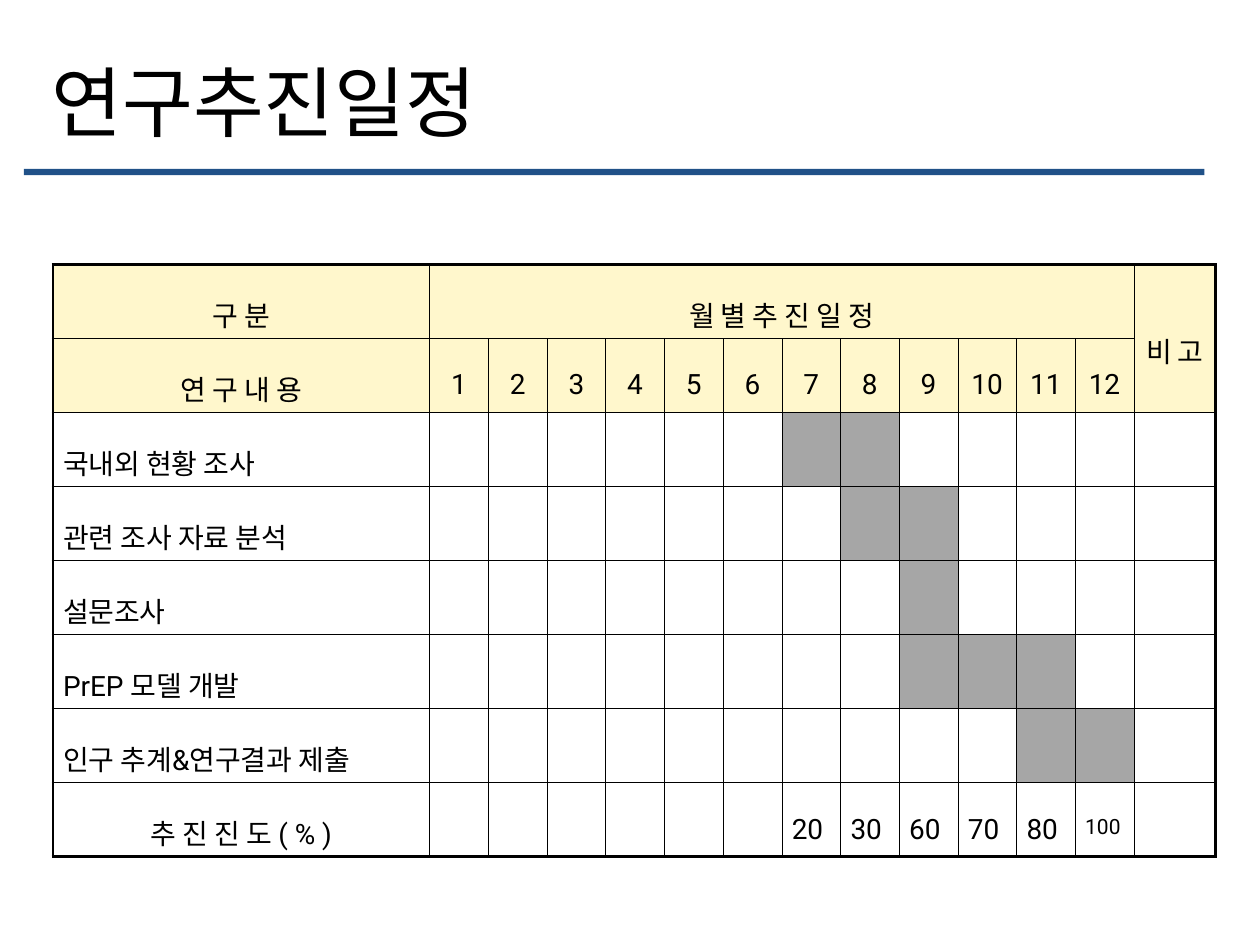
from lxml.etree import SubElement
from pptx import Presentation
from pptx.dml.color import RGBColor
from pptx.enum.shapes import MSO_SHAPE
from pptx.enum.text import MSO_ANCHOR, PP_ALIGN
from pptx.oxml import parse_xml
from pptx.oxml.ns import nsdecls, qn
from pptx.util import Inches, Pt

BLACK = RGBColor(0x00, 0x00, 0x00)
BLUE = RGBColor(0x20, 0x51, 0x88)
CREAM = RGBColor(0xFF, 0xF7, 0xCC)
GRAY = RGBColor(0xA6, 0xA6, 0xA6)
KOREAN_FONT = "Noto Sans CJK KR"
LATIN_FONT = "Roboto"
THIN, THICK = 0.28, 1.7
MONTHS = range(1, 13)
REMARK = 13
LAST_ROW = 7


def add_run(paragraph, text, size, font_name):
    run = paragraph.add_run()
    run.text = text
    for attribute, value in {"name": font_name, "size": Pt(size)}.items():
        setattr(run.font, attribute, value)
    run.font.color.rgb = BLACK
    SubElement(run.font._element, qn("a:ea")).set("typeface", KOREAN_FONT)


def draw_borders(cell, widths):
    properties = cell._tc.get_or_add_tcPr()
    for position, (side, width) in enumerate(widths.items()):
        properties.insert(position, parse_xml(
            f'<a:ln{side} {nsdecls("a")} w="{int(Pt(width))}"><a:solidFill>'
            f'<a:srgbClr val="{BLACK}"/></a:solidFill></a:ln{side}>'))


presentation = Presentation()
presentation.slide_width = Inches(10)
presentation.slide_height = Inches(7.5)
slide = presentation.slides.add_slide(presentation.slide_layouts[6])

divider = slide.shapes.add_shape(
    MSO_SHAPE.RECTANGLE, Inches(0.19), Inches(1.34), Inches(9.37), Inches(0.05))
divider.shadow.inherit = False
divider.fill.solid()
divider.fill.fore_color.rgb = BLUE
divider.line.fill.background()

title = slide.shapes.add_textbox(
    Inches(0.31), Inches(0.12), Inches(8.62), Inches(1.45)).text_frame
for attribute, value in {"word_wrap": True, "vertical_anchor": MSO_ANCHOR.MIDDLE}.items():
    setattr(title, attribute, value)
title.paragraphs[0].line_spacing = 0.9
add_run(title.paragraphs[0], "연구추진일정", 44, "Calibri")

schedule_frame = slide.shapes.add_table(
    8, 14, Inches(0.42), Inches(2.1), Inches(9.23), Inches(4.7))
schedule = schedule_frame.table
for flag in ("first_row", "horz_banding"):
    setattr(schedule, flag, False)
for column, width in enumerate([2.99] + [5.59 / 12] * 12 + [0.65]):
    schedule.columns[column].width = Inches(width)
for row in schedule.rows:
    row.height = Inches(4.7 / 8)

tasks = [
    (["국내외 현황 조사"], [7, 8]),
    (["관련 조사 자료 분석"], [8, 9]),
    (["설문조사"], [9]),
    (["PrEP ", "모델 개발"], [9, 10, 11]),
    (["인구 추계", "&", "연구결과 제출"], [11, 12]),
]
progress = {7: "20", 8: "30", 9: "60", 10: "70", 11: "80", 12: "100"}

labels = {
    (0, 0): ["구 분"],
    (0, 1): ["월 별 추 진 일 정"],
    (0, REMARK): ["비 고"],
    (1, 0): ["연 구 내 용"],
    (LAST_ROW, 0): ["추 진 진 도 ", "( % )"],
}
labels.update({(1, month): [str(month)] for month in MONTHS})
labels.update({(LAST_ROW, month): [percent] for month, percent in progress.items()})
active = set()
for row, (task, months) in enumerate(tasks, start=2):
    labels[row, 0] = task
    active.update((row, month) for month in months)

cell_format = {
    "vertical_anchor": MSO_ANCHOR.MIDDLE,
    "margin_left": Inches(0.08),
    "margin_right": Inches(0.08),
    "margin_top": Inches(0.04),
    "margin_bottom": Inches(0.04),
}
for row in range(LAST_ROW + 1):
    for column in range(REMARK + 1):
        cell = schedule.cell(row, column)
        if row < 2 or (row, column) in active:
            cell.fill.solid()
            cell.fill.fore_color.rgb = CREAM if row < 2 else GRAY
        else:
            cell.fill.background()
        draw_borders(cell, {
            "L": THICK if column == 0 else THIN,
            "R": THICK if column == REMARK else THIN,
            "T": THICK if row == 0 else THIN,
            "B": THICK if row == LAST_ROW else THIN,
        })
        if (row, column) not in labels:
            continue
        for attribute, value in cell_format.items():
            setattr(cell, attribute, value)
        paragraph = cell.text_frame.paragraphs[0]
        centered = row < 2 or (row, column) == (LAST_ROW, 0)
        paragraph.alignment = PP_ALIGN.CENTER if centered else PP_ALIGN.JUSTIFY
        paragraph.line_spacing = 1.6
        for text in labels[row, column]:
            add_run(paragraph, text, 12 if text == "100" else 16, LATIN_FONT)

schedule.cell(0, 1).merge(schedule.cell(0, 12))
schedule.cell(0, REMARK).merge(schedule.cell(1, REMARK))

presentation.save("out.pptx")
